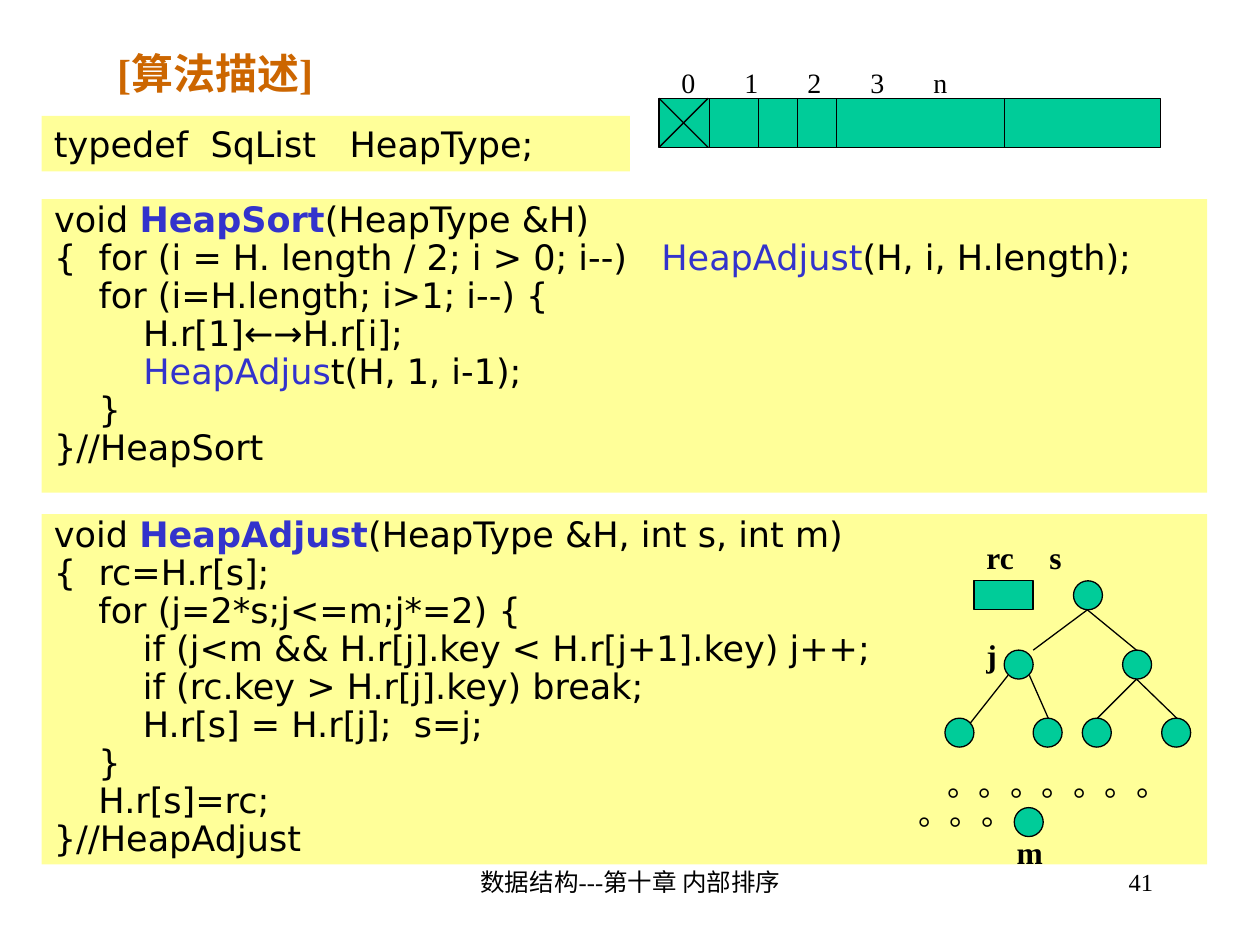
from dataclasses import dataclass, field

from pptx import Presentation
from pptx import util as u
from pptx.dml.color import RGBColor
from pptx.enum import shapes, text
from pptx.oxml.ns import qn
from lxml import etree

PX = 9144  # EMU per px, 100 px to the inch


@dataclass
class Theme:
    ink: str = "000000"
    panel: str = "FFFF99"
    node: str = "00CC99"
    line: float = 0.75
    styles: dict = field(default_factory=lambda: {
        "title": dict(name="Times New Roman", size=24, bold=True, color="CC6600"),
        "code": dict(name="DejaVu Sans", size=20, bold=False, color="000000"),
        "define": dict(name="DejaVu Sans", size=20, bold=True, color="3333CC"),
        "call": dict(name="DejaVu Sans", size=20, bold=False, color="3333CC"),
        "index": dict(name="Times New Roman", size=16, bold=False, color="000000"),
        "label": dict(name="Times New Roman", size=18, bold=True, color="000000"),
        "dots": dict(name="Times New Roman", size=18, bold=False, color="000000"),
        "footer": dict(name="Times New Roman", size=14, bold=False, color="000000"),
    })


class Deck:
    def __init__(self, theme):
        self.theme = theme
        self.prs = Presentation()
        self.prs.slide_width, self.prs.slide_height = 1000 * PX, 750 * PX
        self.s = self.prs.slides.add_slide(self.prs.slide_layouts[1])

    def paint(self, sp, fill, line=None):
        sp.fill.solid()
        sp.fill.fore_color.rgb = RGBColor.from_string(fill)
        if line:
            sp.line.color.rgb = RGBColor.from_string(line)
            sp.line.width = u.Pt(self.theme.line)
        else:
            sp.line.fill.background()

    def set_text(self, sp, lines, style, align="LEFT", anchor="TOP", tabs=(), **spacing):
        """Each line is a string in the given style or a list of (text, style)."""
        tf = sp.text_frame
        frame = dict(word_wrap=True, auto_size=text.MSO_AUTO_SIZE.NONE,
                     vertical_anchor=getattr(text.MSO_ANCHOR, anchor))
        for key, value in frame.items():
            setattr(tf, key, value)
        for i, line in enumerate(lines):
            p = tf.paragraphs[0] if i == 0 else tf.add_paragraph()
            pPr = p._p.get_or_add_pPr()
            pPr.set("marL", "0")
            pPr.set("indent", "0")
            etree.SubElement(pPr, qn("a:buNone"))
            if tabs:
                stops = etree.SubElement(pPr, qn("a:tabLst"))
                for x in tabs:
                    etree.SubElement(stops, qn("a:tab"), pos=str(x * PX), algn="l")
            fmt = dict(space_before=u.Pt(0), alignment=getattr(text.PP_ALIGN, align))
            fmt.update(spacing)
            if i == 0:
                fmt["space_before"] = u.Pt(0)
            for key, value in fmt.items():
                setattr(p, key, value)
            for words, name in [(line, style)] if isinstance(line, str) else line:
                self.add_words(p, words, name)

    def add_words(self, p, words, name):
        r = p.add_run()
        r.text = words
        fmt = dict(self.theme.styles[name])
        r.font.color.rgb = RGBColor.from_string(fmt.pop("color"))
        fmt["size"] = u.Pt(fmt["size"])
        for key, value in fmt.items():
            setattr(r.font, key, value)

    def placeholder(self, idx, box, lines, style, fill=None, **fmt):
        sp = self.s.placeholders[idx]
        sp.left, sp.top, sp.width, sp.height = (v * PX for v in box)
        if fill:
            self.paint(sp, fill)
        self.set_text(sp, lines, style, **fmt)

    def shape(self, kind, box, fill, line=None):
        sp = self.s.shapes.add_shape(getattr(shapes.MSO_SHAPE, kind), *(v * PX for v in box))
        sp.shadow.inherit = False
        self.paint(sp, fill, line)
        return sp

    def panel(self, box, lines, **fmt):
        self.set_text(self.shape("RECTANGLE", box, self.theme.panel), lines, "code", **fmt)

    def cell(self, kind, *box):
        self.shape(kind, box, self.theme.node, self.theme.ink)

    def label(self, box, words, style, **fmt):
        sp = self.s.shapes.add_textbox(*(v * PX for v in box))
        self.set_text(sp, [words], style, **fmt)

    def line(self, *ends):
        c = self.s.shapes.add_connector(shapes.MSO_CONNECTOR.STRAIGHT, *(v * PX for v in ends))
        c.line.color.rgb = RGBColor.from_string(self.theme.ink)
        c.line.width = u.Pt(self.theme.line)
        etree.SubElement(c._element.spPr, qn("a:effectLst"))


HEAP_SORT = [
    [("void ", "code"), ("HeapSort", "define"), ("(HeapType &H)", "code")],
    [("{  for (i = H. length / 2; i > 0; i--)   ", "code"), ("HeapAdjust", "call"),
     ("(H, i, H.length);", "code")],
    "    for (i=H.length; i>1; i--) {",
    "        H.r[1]←→H.r[i];",
    [("        ", "code"), ("HeapAdjus", "call"), ("t(H, 1, i-1);", "code")],
    "    }",
    "}//HeapSort",
]
HEAP_ADJUST = [
    [("void ", "code"), ("HeapAdjust", "define"), ("(HeapType &H, int s, int m)", "code")],
    "{  rc=H.r[s];",
    "    for (j=2*s;j<=m;j*=2) {",
    "        if (j<m && H.r[j].key < H.r[j+1].key) j++;",
    "        if (rc.key > H.r[j].key) break;",
    "        H.r[s] = H.r[j];  s=j;",
    "    }",
    "    H.r[s]=rc;",
    "}//HeapAdjust",
]


def main():
    d = Deck(Theme())
    tight = dict(line_spacing=0.8, space_before=u.Pt(2.5))

    # Title and code panels
    d.placeholder(0, (83, 33, 850, 50), ["[算法描述]"], "title", anchor="MIDDLE")
    d.placeholder(1, (33, 158, 925, 233), HEAP_SORT, "code", d.theme.panel, **tight)
    d.panel((33, 92, 467, 44), ["typedef  SqList   HeapType;"], anchor="MIDDLE")
    d.panel((33, 408, 925, 278), HEAP_ADJUST, **tight)

    # Array with a crossed-out cell 0
    left, top, bottom = 523, 78, 117
    d.cell("RECTANGLE", left, top, 398, bottom - top)
    for x in (563, 602, 633, 664, 797):
        d.line(x, top, x, bottom)
    d.line(left, top, 562, bottom)
    d.line(left, bottom, 562, top)
    d.label((531, 47, 437, 37), "0\t1\t2\t3\tn", "index", tabs=(28, 67, 100, 238))

    # Heap tree
    size = 23
    levels = {461: (852,), 516: (797, 891), 570: (750, 820, 859, 922), 641: (805,)}
    for y, xs in levels.items():
        for x in xs:
            d.cell("OVAL", x, y, size, size)
    for edge in ((863, 484, 820, 516), (863, 484, 902, 516),
                 (800, 536, 770, 574), (817, 536, 832, 570),
                 (902, 539, 871, 570), (902, 539, 934, 570)):
        d.line(*edge)
    d.cell("RECTANGLE", 773, 461, 47, size)

    # Tree labels and continuation dots
    d.label((773, 422, 148, 40), "rc\ts", "label", tabs=(72,))
    d.label((773, 500, 70, 40), "j", "label")
    d.label((742, 602, 211, 40), "。" * 7, "dots")
    d.label((719, 625, 102, 40), "。" * 3, "dots")
    d.label((797, 656, 70, 40), "m", "label")

    # Footer
    d.label((342, 683, 317, 50), "数据结构---第十章 内部排序", "footer", align="CENTER")
    d.label((717, 683, 208, 50), "41", "footer", align="RIGHT")

    d.prs.save("out.pptx")


if __name__ == "__main__":
    main()
